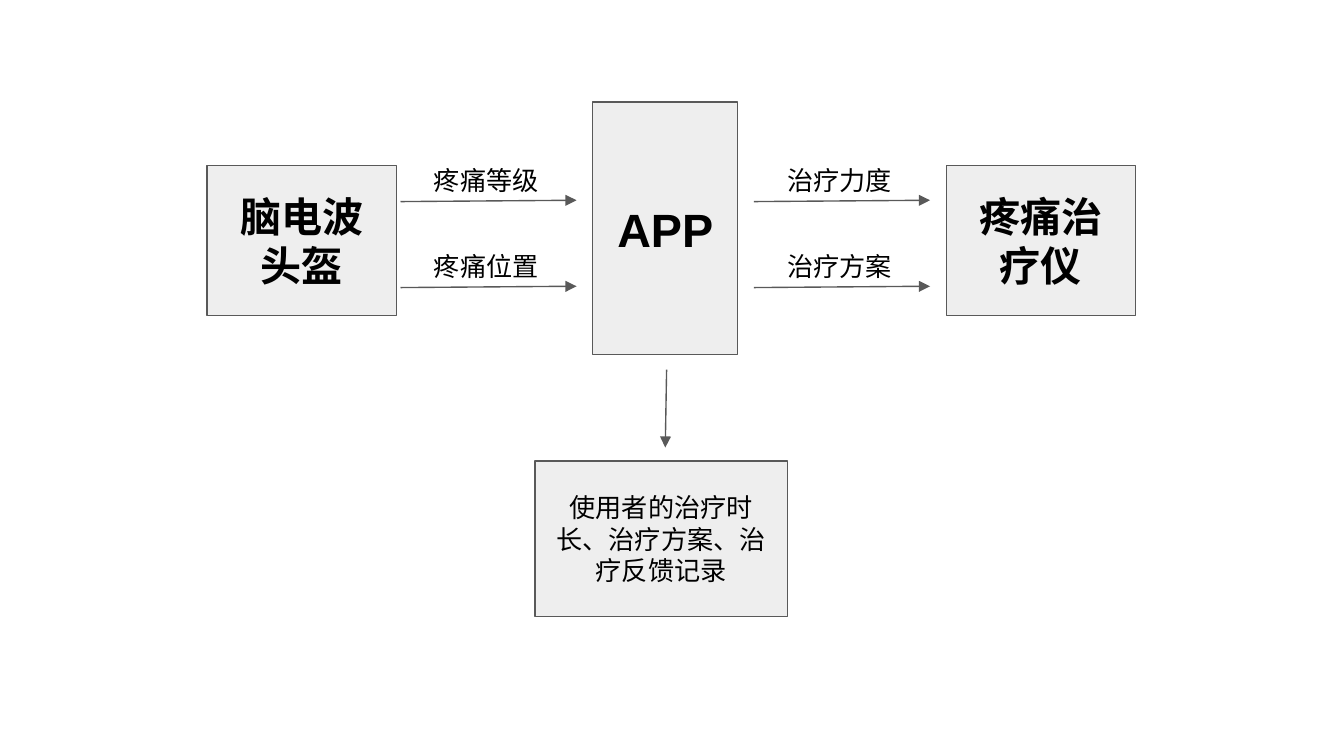
from dataclasses import dataclass

from lxml import etree
from pptx import Presentation
from pptx import util as u
from pptx.dml.color import RGBColor
from pptx.enum import shapes, text
from pptx.oxml import ns


@dataclass(frozen=True)
class Theme:
    font: str = "Arial"
    ink: str = "000000"
    fill: str = "EEEEEE"
    edge: str = "595959"
    weight: float = 0.75
    inset: float = 0.1
    small: int = 14
    large: int = 22
    huge: int = 25


THEME = Theme()


def write(shape, words, size=THEME.small, bold=False,
          align=text.PP_ALIGN.LEFT, anchor=text.MSO_ANCHOR.TOP):
    frame = shape.text_frame
    frame.word_wrap = True
    frame.vertical_anchor = anchor
    frame.margin_left = frame.margin_right = u.Inches(THEME.inset)
    frame.margin_top = frame.margin_bottom = u.Inches(THEME.inset)
    line = frame.paragraphs[0]
    line.alignment = align
    line._p.get_or_add_pPr().set("hangingPunct", "0")
    run = line.add_run()
    run.text = words
    run.font.name = THEME.font
    run.font.size = u.Pt(size)
    run.font.bold = bold
    run.font.color.rgb = RGBColor.from_string(THEME.ink)


def stroke(line):
    line.color.rgb = RGBColor.from_string(THEME.edge)
    line.width = u.Pt(THEME.weight)


def draw_node(slide, box, words, **style):
    node = slide.shapes.add_shape(
        shapes.MSO_SHAPE.RECTANGLE, *map(u.Inches, box))
    node.shadow.inherit = False
    node.fill.solid()
    node.fill.fore_color.rgb = RGBColor.from_string(THEME.fill)
    stroke(node.line)
    write(node, words, align=text.PP_ALIGN.CENTER,
          anchor=text.MSO_ANCHOR.MIDDLE, **style)


def draw_arrow(slide, start, end):
    arrow = slide.shapes.add_connector(
        shapes.MSO_CONNECTOR.STRAIGHT, *map(u.Inches, (*start, *end)))
    stroke(arrow.line)
    edge = arrow.line._get_or_add_ln()
    etree.SubElement(edge, ns.qn("a:tailEnd"), type="triangle")
    etree.SubElement(arrow._element.spPr, ns.qn("a:effectLst"))


def draw_flow(slide, box, labels):
    left, top, width, height = box
    pitch = height / len(labels)
    for row, words in enumerate(labels):
        y = top + row * pitch
        base = y + 0.38
        draw_arrow(slide, (left, base), (left + width, base - 0.01))
        label = slide.shapes.add_textbox(
            *map(u.Inches, (left + 0.15, y, width - 0.3, 0.33)))
        write(label, words)


def draw_chart(slide, box):
    left, top, width, height = box
    side, tall, flow = 1.41, 1.12, 1.31
    draw_node(slide, (left, top + 0.47, side, tall), "脑电波头盔",
              size=THEME.large, bold=True)
    draw_flow(slide, (left + 1.44, top + 0.36, flow, 1.28),
              ("疼痛等级", "疼痛位置"))
    draw_node(slide, (left + 2.87, top, 1.08, 1.88), "APP",
              size=THEME.huge, bold=True)
    draw_flow(slide, (left + 4.07, top + 0.36, flow, 1.28),
              ("治疗力度", "治疗方案"))
    draw_node(slide, (left + width - side, top + 0.47, side, tall),
              "疼痛治疗仪", size=THEME.large, bold=True)
    draw_arrow(slide, (left + 3.42, top + 1.99), (left + 3.41, top + 2.57))
    draw_node(slide, (left + 2.44, top + height - 1.16, 1.88, 1.16),
              "使用者的治疗时长、治疗方案、治疗反馈记录")


def main():
    deck = Presentation()
    deck.slide_width = u.Inches(10)
    deck.slide_height = deck.slide_width * 9 // 16
    slide = deck.slides.add_slide(deck.slide_layouts[6])
    draw_chart(slide, (1.54, 0.76, 6.91, 3.83))
    deck.save("out.pptx")


if __name__ == "__main__":
    main()
